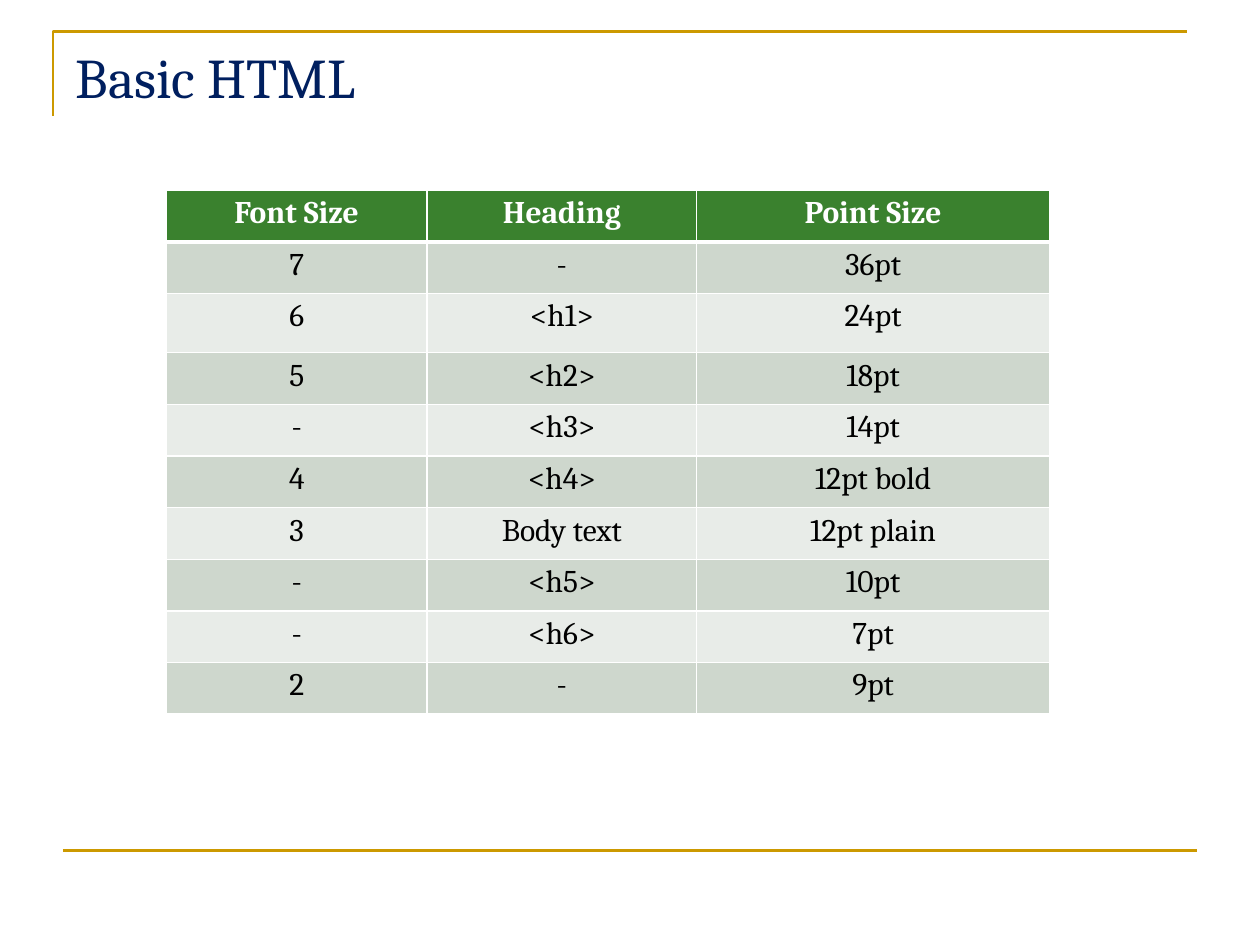
import pptx
import pptx.util
import pptx.dml.color
import pptx.enum.text
import pptx.oxml
import pptx.oxml.ns
from lxml import etree

Inches = pptx.util.Inches
Pt = pptx.util.Pt

TITLE = "Basic HTML"
HEADER = ("Font Size", "Heading", "Point Size")
SIZES = [
    ("7", "-", "36pt"),
    ("6", "<h1>", "24pt"),
    ("5", "<h2>", "18pt"),
    ("-", "<h3>", "14pt"),
    ("4", "<h4>", "12pt bold"),
    ("3", "Body text", "12pt plain"),
    ("-", "<h5>", "10pt"),
    ("-", "<h6>", "7pt"),
    ("2", "-", "9pt"),
]
COLUMN_WIDTHS = (2.07, 2.14, 2.8)
ROW_HEIGHT = 0.41
TALL_ROWS = {2: 0.47}
RULES = [
    [(0.42, 0.92), (0.42, 0.25), (9.42, 0.25)],
    [(0.5, 6.75), (9.5, 6.75)],
]
THEME = {
    "font": "Cambria",
    "rule": "CC9900",
    "title": "001F5F",
    "header": "3A812E",
    "bands": ("CED7CD", "E8ECE8"),
    "border": "FFFFFF",
    "header_text": "FFFFFF",
    "text": "000000",
    "title_size": 32,
    "table_size": 18,
    "rule_width": 1.56,
    "border_width": 1,
    "header_border_width": 3,
}


def color(value):
    return pptx.dml.color.RGBColor.from_string(value)


def apply(target, values):
    for name, value in values.items():
        setattr(target, name, value)


def format_text(paragraph, size, text_color, bold, align, space_before):
    apply(paragraph, {"alignment": align, "space_before": Pt(space_before)})
    for run in paragraph.runs:
        apply(run.font, {"name": THEME["font"], "size": Pt(size), "bold": bold})
        run.font.color.rgb = color(text_color)


def add_rule(slide, points):
    builder = slide.shapes.build_freeform(
        *(Inches(value) for value in points[0]), scale=1.0)
    builder.add_line_segments(
        [(Inches(x), Inches(y)) for x, y in points[1:]], close=False)
    shape = builder.convert_to_shape()
    shape.shadow.inherit = False
    shape.fill.background()
    shape.line.color.rgb = color(THEME["rule"])
    shape.line.width = Pt(THEME["rule_width"])


def add_borders(cell, row):
    thick = THEME["header_border_width"]
    widths = dict.fromkeys("LRTB", THEME["border_width"])
    if row == 0:
        widths["B"] = thick
    elif row == 1:
        widths["T"] = thick
    properties = cell._tc.get_or_add_tcPr()
    qn = pptx.oxml.ns.qn
    for side, width in widths.items():
        line = etree.SubElement(properties, qn("a:ln" + side), w=str(Pt(width)))
        fill = etree.SubElement(line, qn("a:solidFill"))
        etree.SubElement(fill, qn("a:srgbClr"), val=THEME["border"])


def add_title(slide):
    title = slide.shapes.title
    apply(title, {"left": Inches(0.59), "top": Inches(0.33),
                  "width": Inches(2.3), "height": Inches(0.56)})
    frame = title.text_frame
    frame.text = TITLE
    apply(frame, {"margin_left": Inches(0.01), "margin_top": Inches(0.01),
                  "margin_right": 0, "margin_bottom": 0, "word_wrap": True,
                  "auto_size": pptx.enum.text.MSO_AUTO_SIZE.NONE,
                  "vertical_anchor": pptx.enum.text.MSO_ANCHOR.TOP})
    format_text(frame.paragraphs[0], THEME["title_size"], THEME["title"],
                False, pptx.enum.text.PP_ALIGN.LEFT, 1)


def add_size_table(slide):
    rows = [HEADER] + SIZES
    heights = [TALL_ROWS.get(row, ROW_HEIGHT) for row in range(len(rows))]
    table = slide.shapes.add_table(
        len(rows), len(HEADER), Inches(1.32), Inches(1.51),
        Inches(sum(COLUMN_WIDTHS)), Inches(sum(heights))).table
    for column, width in zip(table.columns, COLUMN_WIDTHS):
        column.width = Inches(width)
    for row, (texts, height) in enumerate(zip(rows, heights)):
        table.rows[row].height = Inches(height)
        header = row == 0
        fill = THEME["header"] if header else THEME["bands"][(row - 1) % 2]
        text_color = THEME["header_text"] if header else THEME["text"]
        for column, text in enumerate(texts):
            cell = table.cell(row, column)
            cell.text = text
            apply(cell, {"margin_left": 0, "margin_top": Inches(0.04),
                         "margin_right": 0, "margin_bottom": 0})
            add_borders(cell, row)
            cell.fill.solid()
            cell.fill.fore_color.rgb = color(fill)
            format_text(cell.text_frame.paragraphs[0], THEME["table_size"],
                        text_color, header, pptx.enum.text.PP_ALIGN.CENTER, 3.1)


presentation = pptx.Presentation()
apply(presentation, {"slide_width": Inches(10), "slide_height": Inches(7.5)})
slide = presentation.slides.add_slide(presentation.slide_layouts[5])
for points in RULES:
    add_rule(slide, points)
add_title(slide)
add_size_table(slide)
presentation.save("out.pptx")
